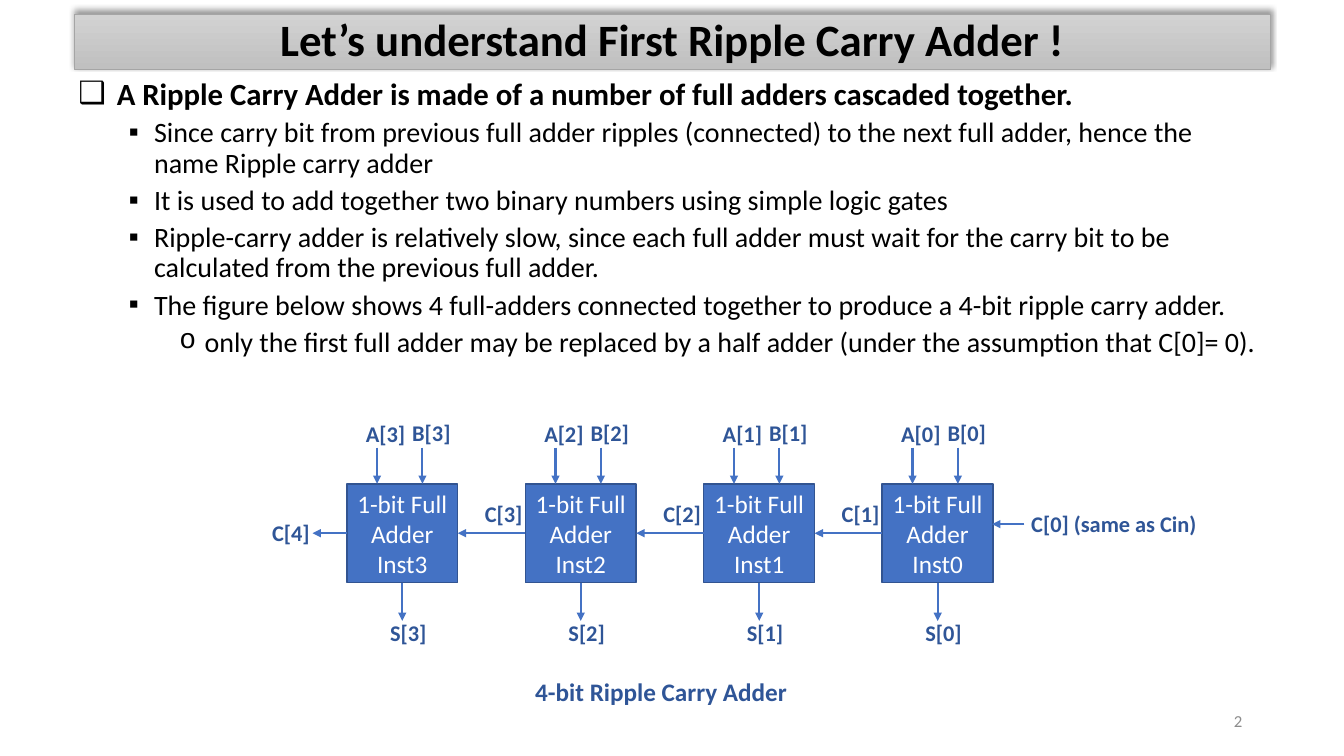
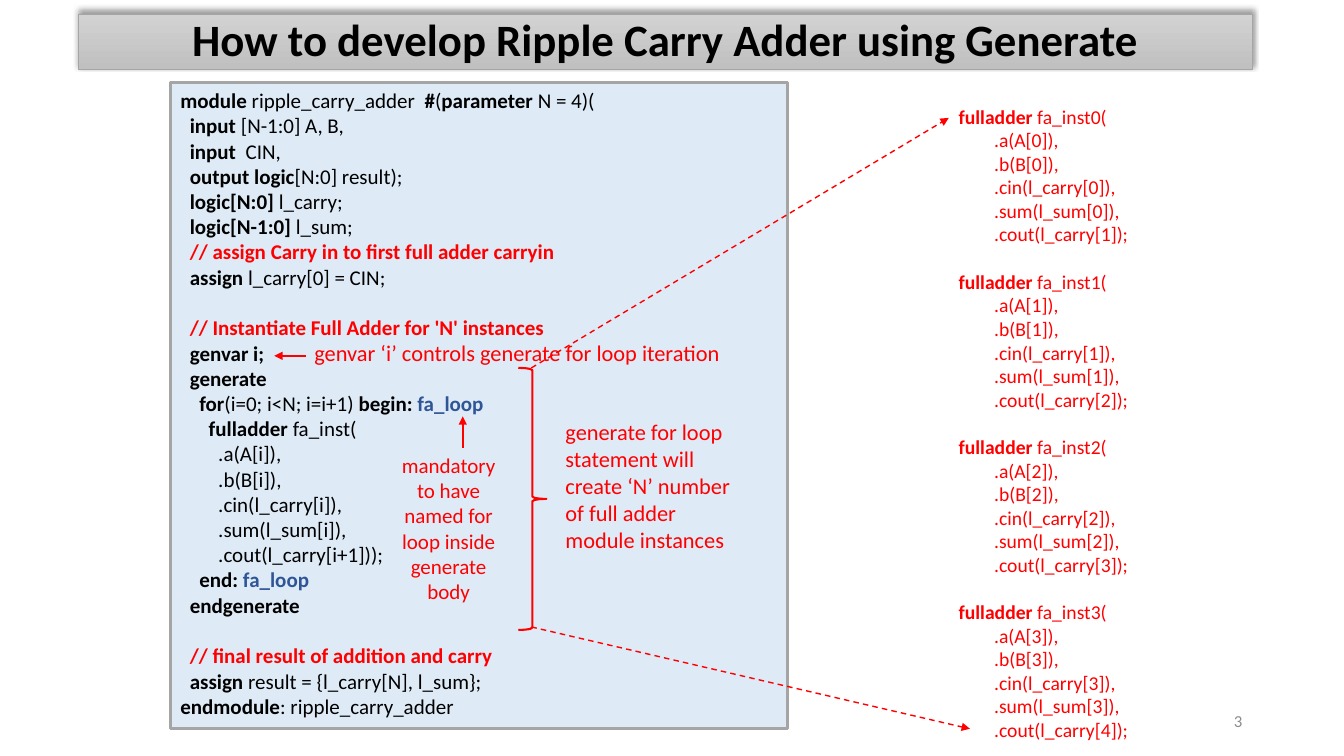
"""Build two slides that explain the ripple carry adder and its generate loop."""
from lxml import etree
from pptx import Presentation
from pptx.dml.color import RGBColor
from pptx.enum.dml import MSO_LINE
from pptx.enum.shapes import MSO_CONNECTOR, MSO_SHAPE
from pptx.enum.text import MSO_ANCHOR, PP_ALIGN
from pptx.oxml.ns import qn
from pptx.util import Inches, Pt

FONT = "Calibri"
BLACK = RGBColor(0x00, 0x00, 0x00)
WHITE = RGBColor(0xFF, 0xFF, 0xFF)
GRAY = RGBColor(0x8C, 0x8C, 0x8C)
BORDER = RGBColor(0xA5, 0xA5, 0xA5)
BAND_TOP = RGBColor(0xD2, 0xD2, 0xD2)
BAND_BOTTOM = RGBColor(0xC0, 0xC0, 0xC0)
BLUE = RGBColor(0x44, 0x72, 0xC4)
BLUE_BORDER = RGBColor(0x32, 0x54, 0x91)
DARK_BLUE = RGBColor(0x2F, 0x55, 0x97)
PALE_BLUE = RGBColor(0xDE, 0xEB, 0xF7)
RED = RGBColor(0xFF, 0x00, 0x00)
HIGHLIGHTS = {"//": RED, "fa_loop": DARK_BLUE}

BULLETS = [
    (0, "*A Ripple Carry Adder is made of a number of full adders cascaded together.*"),
    (1, "Since carry bit from previous full adder ripples (connected) to the next full adder, "
        "hence the name Ripple carry adder"),
    (1, "It is used to add together two binary numbers using simple logic gates"),
    (1, "Ripple-carry adder is relatively slow, since each full adder must wait for the carry bit "
        "to be calculated from the previous full adder."),
    (1, "The figure below shows 4 full-adders connected together to produce a 4-bit ripple carry adder."),
    (2, "only the first full adder may be replaced by a half adder "
        "(under the assumption that C[0]= 0)."),
]
LEVELS = [("❑", FONT, 0.38, 0.38, 22), ("▪", FONT, 0.75, 0.25, 20), ("o", "Courier New", 1.25, 0.25, 20)]

MODULE_CODE = """*module *ripple_carry_adder  *#*(*parameter* N = 4)(
*  input *[N-1:0] A, B,
*  input  *CIN,
*  output logic*[N:0] result);
*  logic[N:0] *l_carry;
*  logic[N-1:0] *l_sum;
  *// assign Carry in to first full adder carryin*
*  assign *l_carry[0] = CIN;

  *// Instantiate Full Adder for 'N' instances*
*  genvar i;*
*  generate*
*    for*(i=0; i<N; i=i+1) *begin: **fa_loop*
*      fulladder *fa_inst(
        .a(A[i]),
        .b(B[i]),
        .cin(l_carry[i]),
        .sum(l_sum[i]),
        .cout(l_carry[i+1]));
*    end: **fa_loop*
*  endgenerate*

  *// final result of addition and carry*
*  assign *result = {l_carry[N], l_sum};
*endmodule*: ripple_carry_adder"""

INSTANCE_CODE = "\n\n".join(f"""*fulladder *fa_inst{bit}(
        .a(A[{bit}]),
        .b(B[{bit}]),
        .cin(l_carry[{bit}]),
        .sum(l_sum[{bit}]),
        .cout(l_carry[{bit + 1}]);""" for bit in range(4))


def write(shape, text, size, color, align=PP_ALIGN.LEFT, anchor=MSO_ANCHOR.TOP, wrap=True):
    """Fill a shape; asterisks toggle bold and a blank line becomes space before."""
    frame = shape.text_frame
    frame.word_wrap, frame.vertical_anchor = wrap, anchor
    paragraph = None
    for block in text.split("\n\n"):
        for index, line in enumerate(block.split("\n")):
            starts_gap = paragraph is not None and index == 0
            paragraph = frame.paragraphs[0] if paragraph is None else frame.add_paragraph()
            paragraph.alignment = align
            if starts_gap:
                paragraph.space_before = Pt(round(size * 1.22, 1))
            for position, part in enumerate(line.split("*")):
                if part:
                    run = paragraph.add_run()
                    run.text = part
                    font_format = {"name": FONT, "size": Pt(size), "bold": position % 2 == 1}
                    for name, value in font_format.items():
                        setattr(run.font, name, value)
                    run.font.color.rgb = next(
                        (tone for start, tone in HIGHLIGHTS.items() if part.startswith(start)), color)


def add_arrow(slide, start, end, color, width=1.5, dash=None):
    """Draw a straight arrow and return it."""
    arrow = slide.shapes.add_connector(MSO_CONNECTOR.STRAIGHT, *map(Inches, start + end))
    arrow.line.color.rgb = color
    arrow.line.width = Pt(width)
    if dash:
        arrow.line.dash_style = dash
    properties = arrow._element.spPr
    etree.SubElement(properties.find(qn("a:ln")), qn("a:tailEnd"), type="triangle")
    etree.SubElement(properties, qn("a:effectLst"))
    return arrow


presentation = Presentation()
presentation.slide_width = Inches(13.33)
presentation.slide_height = Inches(7.5)

slides = []
for number, left, width, title in [
    (2, 0.74, 11.86, "Let’s understand First Ripple Carry Adder !"),
    (3, 0.78, 11.64, "How to develop Ripple Carry Adder using Generate"),
]:
    slide = presentation.slides.add_slide(presentation.slide_layouts[6])
    slides.append(slide)
    band = slide.shapes.add_shape(MSO_SHAPE.RECTANGLE, *map(Inches, (left, 0.14, width, 0.55)))
    band.fill.gradient()
    band.fill.gradient_angle = 270
    for stop, tone in zip(band.fill.gradient_stops, (BAND_TOP, BAND_BOTTOM)):
        stop.color.rgb = tone
    band.line.color.rgb = BORDER
    band.line.width = Pt(0.5)
    band.shadow.inherit = False
    shadow = etree.SubElement(
        band._element.spPr.find(qn("a:effectLst")), qn("a:outerShdw"),
        blurRad=str(Pt(4)), dist=str(Pt(3)), dir="16200000", rotWithShape="0")
    shadow_color = etree.SubElement(shadow, qn("a:srgbClr"), val=str(BLACK))
    etree.SubElement(shadow_color, qn("a:alpha"), val="40000")
    write(band, f"*{title}*", 32, BLACK, PP_ALIGN.CENTER, MSO_ANCHOR.MIDDLE)
    band.text_frame.paragraphs[0].line_spacing = 0.9
    number_box = slide.shapes.add_textbox(*map(Inches, (9.42, 6.95, 3, 0.4)))
    write(number_box, str(number), 12, GRAY, PP_ALIGN.RIGHT, MSO_ANCHOR.MIDDLE)

adder_slide, code_slide = slides

body = adder_slide.shapes.add_textbox(*map(Inches, (0.68, 0.73, 11.91, 3.23)))
write(body, "\n".join(text for level, text in BULLETS), 20, BLACK)
for index, (paragraph, (level, text)) in enumerate(zip(body.text_frame.paragraphs, BULLETS)):
    bullet, bullet_font, margin, hanging, size = LEVELS[level]
    properties = paragraph._p.get_or_add_pPr()
    properties.set("marL", str(Inches(margin)))
    properties.set("indent", str(-Inches(hanging)))
    etree.SubElement(properties, qn("a:buFont"), typeface=bullet_font)
    etree.SubElement(properties, qn("a:buChar"), char=bullet)
    paragraph.level = level
    paragraph.line_spacing = 0.9
    if index:
        paragraph.space_before = Pt(5)
    for run in paragraph.runs:
        run.font.size = Pt(size)

labels = [("C[4]", 2.6, 5.1, 0.58, 16), ("C[0] (same as Cin)", 10.13, 5.01, 1.86, 16),
          ("4-bit Ripple Carry Adder", 5.21, 6.66, 2.72, 18)]
previous_adder = None
for column, bit in enumerate((3, 2, 1, 0)):
    left = 3.44 + 1.77 * column
    center = left + 0.55
    adder = adder_slide.shapes.add_shape(MSO_SHAPE.RECTANGLE, *map(Inches, (left, 4.8, 1.1, 0.98)))
    adder.shadow.inherit = False
    adder.fill.solid()
    adder.fill.fore_color.rgb = BLUE
    adder.line.color.rgb = BLUE_BORDER
    adder.line.width = Pt(1)
    write(adder, f"1-bit Full Adder\nInst{bit}", 18, WHITE, PP_ALIGN.CENTER, MSO_ANCHOR.MIDDLE)
    for offset in (0.3, 0.75):
        add_arrow(adder_slide, (left + offset, 4.44), (left + offset, 4.8), BLUE)
    add_arrow(adder_slide, (center, 5.78), (center, 6.16), BLUE).begin_connect(adder, 2)
    carry_arrow = add_arrow(adder_slide, (left, 5.29), (left - 0.34, 5.29), BLUE)
    carry_arrow.begin_connect(adder, 1)
    if previous_adder:
        carry_arrow.end_connect(previous_adder, 3)
        labels.append((f"C[{bit + 1}]", left - 0.5, 4.91, 0.58, 16))
    previous_adder = adder
    labels += [(f"A[{bit}]", left + 0.09, 4.12, 0.6, 16), (f"B[{bit}]", left + 0.55, 4.11, 0.59, 16),
               (f"S[{bit}]", left + 0.33, 6.09, 0.57, 16)]
add_arrow(adder_slide, (10.16, 5.2), (9.84, 5.2), BLUE)

for text, left, top, width, size in labels:
    label = adder_slide.shapes.add_textbox(*map(Inches, (left, top, width, 0.37)))
    write(label, f"*{text}*", size, DARK_BLUE, wrap=False)

code_panel = code_slide.shapes.add_shape(MSO_SHAPE.RECTANGLE, *map(Inches, (1.69, 0.82, 6.12, 6.41)))
code_panel.shadow.inherit = False
code_panel.fill.solid()
code_panel.fill.fore_color.rgb = PALE_BLUE
code_panel.line.color.rgb = BORDER
code_panel.line.width = Pt(2)
write(code_panel, MODULE_CODE, 15, BLACK)

for text, box, size, align in [
    ("genvar ‘i’ controls generate for loop iteration", (3.02, 3.32, 4.4, 0.37), 16, PP_ALIGN.LEFT),
    ("generate for loop statement will create ‘N’ number of full adder module instances",
     (5.51, 4.1, 1.92, 1.45), 16, PP_ALIGN.LEFT),
    ("mandatory to have named for loop inside generate body", (3.8, 4.44, 1.3, 1.62), 15, PP_ALIGN.CENTER),
    (INSTANCE_CODE, (9.41, 0.99, 2.66, 6.46), 14, PP_ALIGN.LEFT),
]:
    write(code_slide.shapes.add_textbox(*map(Inches, box)), text, size, RED, align)

brace = code_slide.shapes.add_shape(MSO_SHAPE.RIGHT_BRACE, *map(Inches, (5.14, 3.65, 0.28, 2.6)))
brace.shadow.inherit = False
brace.fill.background()
brace.line.color.rgb = RED
brace.line.width = Pt(1.5)

add_arrow(code_slide, (3.04, 3.53), (2.72, 3.53), RED)
add_arrow(code_slide, (4.59, 4.44), (4.59, 4.13), RED)
add_arrow(code_slide, (5.27, 3.65), (9.41, 1.17), RED, 1, MSO_LINE.DASH)
add_arrow(code_slide, (5.27, 6.22), (9.62, 7.23), RED, 1, MSO_LINE.DASH)

presentation.save("out.pptx")
